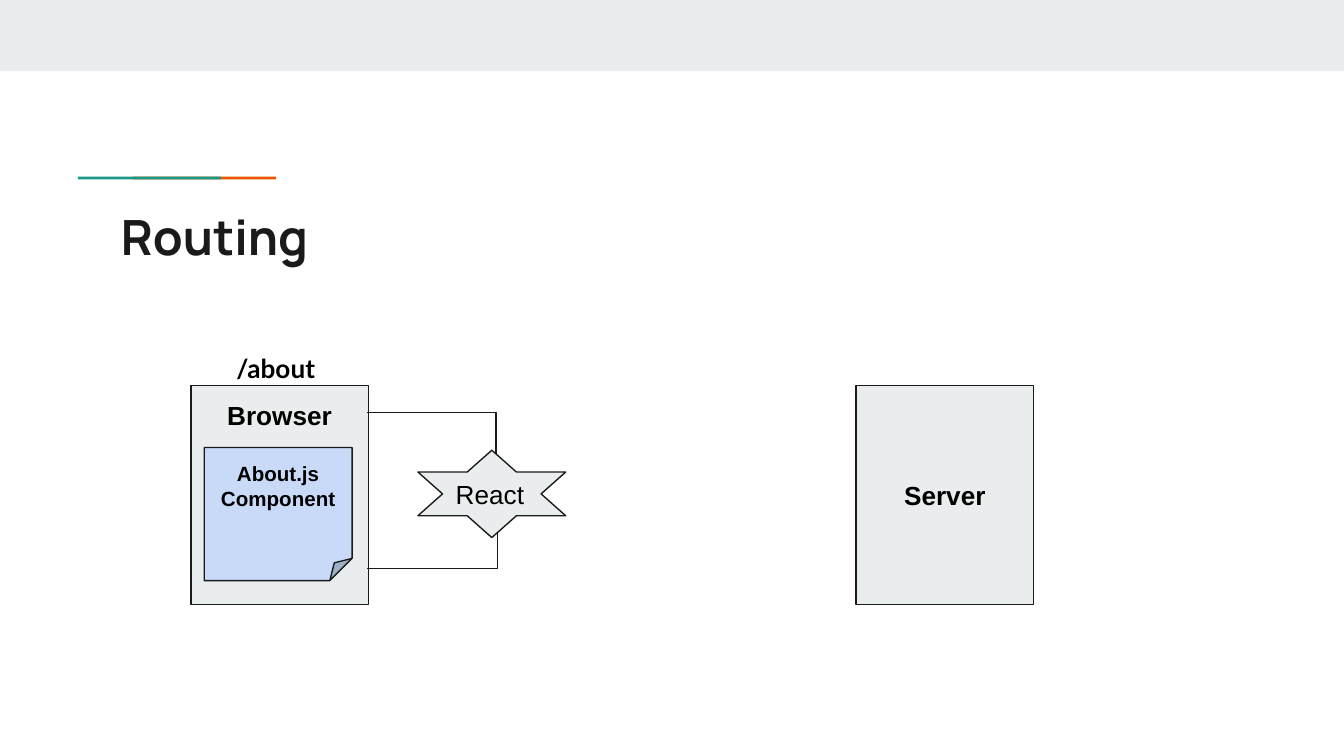
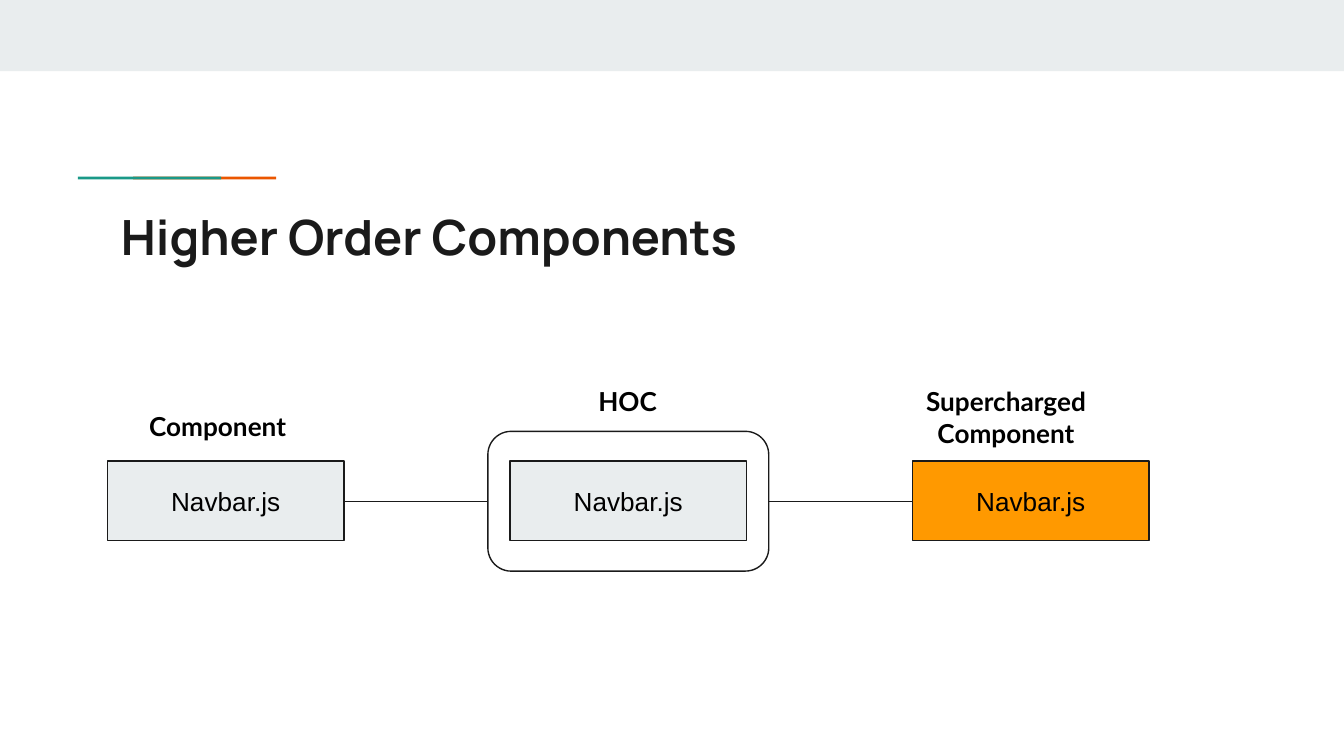
from collections import namedtuple

from lxml import etree
from pptx import Presentation
from pptx import util as u
from pptx.dml.color import RGBColor
from pptx.enum import shapes, text
from pptx.oxml import ns

INK = RGBColor(0x1A, 0x1A, 0x1A)
BLACK = RGBColor(0, 0, 0)
MIST = RGBColor(0xE9, 0xED, 0xEE)
TEAL = RGBColor(0x1A, 0x99, 0x88)
RUST = RGBColor(0xEB, 0x56, 0x00)
SKY = RGBColor(0xC9, 0xDA, 0xF8)
AMBER = RGBColor(0xFF, 0x99, 0x00)

COLS, ROWS = 100, 56.25
UNIT = u.Inches(10) // COLS
Box = namedtuple("Box", "x y w h")

KIND = shapes.MSO_SHAPE
WIRE = shapes.MSO_CONNECTOR
TOP, MID = text.MSO_ANCHOR.TOP, text.MSO_ANCHOR.MIDDLE
LEFT, CENTER = text.PP_ALIGN.LEFT, text.PP_ALIGN.CENTER

PLAIN = dict(name="Arial", size=u.Pt(14), bold=False)
HEAVY = dict(PLAIN, bold=True)
SMALL = dict(HEAVY, size=u.Pt(11))
LABEL = dict(HEAVY, name="Lato")
TITLE = dict(name="Manrope", size=u.Pt(26), bold=True)


def span(*sizes):
    return [round(size * UNIT) for size in sizes]


def inner(box, x, y, w, h):
    return Box(box.x + x, box.y + y, w, h)


def write(shape, words, font, align=CENTER, anchor=TOP, color=BLACK):
    frame = shape.text_frame
    frame.text = words
    pad = u.Inches(0.1)
    look = dict(word_wrap=True, auto_size=text.MSO_AUTO_SIZE.NONE,
                vertical_anchor=anchor, margin_left=pad, margin_right=pad,
                margin_top=pad, margin_bottom=pad)
    for key, value in look.items():
        setattr(frame, key, value)
    for para in frame.paragraphs:
        para.alignment = align
        for run in para.runs:
            for key, value in font.items():
                setattr(run.font, key, value)
            run.font.color.rgb = color


def stroke(line):
    line.color.rgb = INK
    line.width = u.Pt(0.75)


def shape(slide, kind, box, fill=None, edge=True):
    item = slide.shapes.add_shape(kind, *span(*box))
    item.shadow.inherit = False
    if fill is None:
        item.fill.background()
    else:
        item.fill.solid()
        item.fill.fore_color.rgb = fill
    if edge:
        stroke(item.line)
    else:
        item.line.fill.background()
    return item


def label(slide, box, words, align=CENTER):
    write(slide.shapes.add_textbox(*span(*box)), words, LABEL, align)


def link(slide, box, start, end, bend=None):
    ends = span(box.x + start[0], box.y + start[1],
                box.x + end[0], box.y + end[1])
    kind = WIRE.STRAIGHT if bend is None else WIRE.ELBOW
    item = slide.shapes.add_connector(kind, *ends)
    stroke(item.line)
    props = item._element.spPr
    etree.SubElement(props, ns.qn("a:effectLst"))
    if bend is not None:
        guides = props.find(".//" + ns.qn("a:avLst"))
        etree.SubElement(guides, ns.qn("a:gd"), name="adj1",
                         fmla=f"val {round(bend * 100000)}")


def base(deck, title):
    slide = deck.slides.add_slide(deck.slide_layouts[5])
    shape(slide, KIND.RECTANGLE, Box(0, 0, COLS, 5.3), MIST, False)
    for left, color in ((9.9, RUST), (5.8, TEAL)):
        shape(slide, KIND.RECTANGLE, Box(left, 13.15, 10.65, 0.2), color, False)
    head = slide.shapes.title
    head.left, head.top, head.width, head.height = span(8, 14.4, 84.1, 5.9)
    write(head, title, TITLE, LEFT, color=INK)
    return slide


def route(slide, box):
    for left, name, anchor in ((0, "Browser", TOP), (49.5, "Server", MID)):
        host = shape(slide, KIND.RECTANGLE, inner(box, left, 3.5, 13.2, 16.3), MIST)
        write(host, name, HEAVY, anchor=anchor)
    note = shape(slide, KIND.FOLDED_CORNER, inner(box, 1, 8.1, 11, 9.9), SKY)
    write(note, "About.js\vComponent", SMALL)
    label(slide, inner(box, 2.4, 0, 9.6, 2.2), "/about", LEFT)
    link(slide, box, (13.1, 5.5), (22.7, 9.7), 1)
    link(slide, box, (13.1, 17.1), (22.9, 14), 0.99)
    star = shape(slide, KIND.STAR_6_POINT, inner(box, 16.9, 8.3, 11, 6.5), MIST)
    write(star, "React", PLAIN, LEFT, MID)


def flow(slide, box):
    wide, step = 17.6, 29.95
    ring = Box(28.3, 4.4, 20.9, 10.4)
    shape(slide, KIND.ROUNDED_RECTANGLE, inner(box, *ring))
    for spot, color in enumerate((MIST, MIST, AMBER)):
        card = shape(slide, KIND.RECTANGLE,
                     inner(box, spot * step, 6.6, wide, 5.9), color)
        write(card, "Navbar.js", PLAIN, anchor=MID)
    for start, end in ((wide, ring.x), (ring.x + ring.w, 2 * step)):
        link(slide, box, (start, 9.6), (end, 9.6))
    label(slide, inner(box, 1.4, 1.8, 13.6, 3.5), "Component")
    label(slide, inner(box, 31.9, 0, 13.6, 3.5), "HOC")
    label(slide, inner(box, 58.9, 0, 15.9, 5.9), "Supercharged Component")


def main():
    deck = Presentation()
    deck.slide_width, deck.slide_height = span(COLS, ROWS)
    route(base(deck, "Routing"), Box(14.2, 25.2, 62.7, 19.8))
    flow(base(deck, "Higher Order Components"), Box(8, 27.7, 77.5, 14.8))
    deck.save("out.pptx")


if __name__ == "__main__":
    main()
